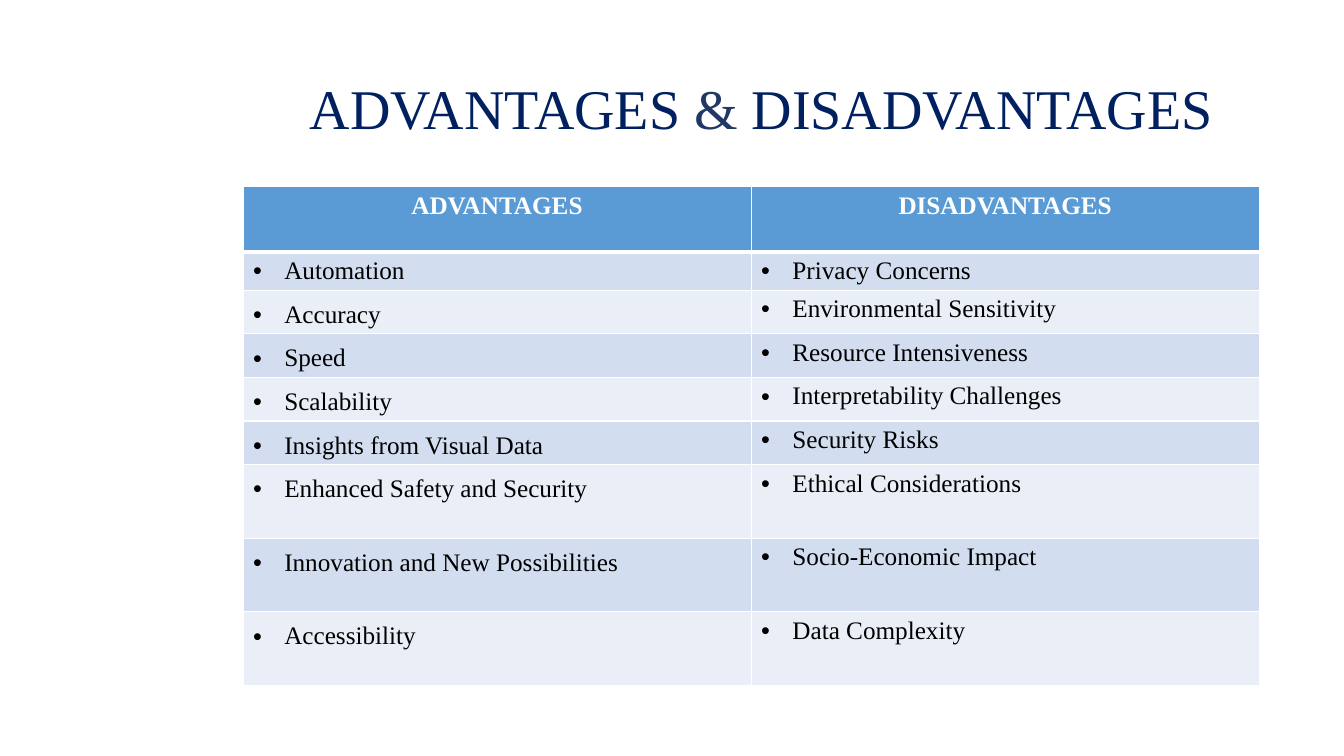
import pptx
import pptx.util
import pptx.dml.color
import pptx.enum.text
import pptx.oxml
import pptx.oxml.ns
import lxml.etree

Inches = pptx.util.Inches
Pt = pptx.util.Pt
A = pptx.oxml.ns.nsdecls("a")


def rgb(value):
    return pptx.dml.color.RGBColor.from_string(value)


def add_run(p, text, color, size, bold):
    r = p.add_run()
    r.text = text
    r.font.color.rgb = rgb(color)
    formats = {"name": "Times New Roman", "size": Pt(size), "bold": bold}
    for name, value in formats.items():
        setattr(r.font, name, value)


prs = pptx.Presentation()
prs.slide_width = Inches(13.33)
prs.slide_height = Inches(7.5)
s = prs.slides.add_slide(prs.slide_layouts[5])

title = s.shapes.title
box = {"left": 2.31, "top": 0.4, "width": 10.48, "height": 1.33}
for name, value in box.items():
    setattr(title, name, Inches(value))
tf = title.text_frame
tf.word_wrap = True
tf.vertical_anchor = pptx.enum.text.MSO_ANCHOR.MIDDLE
p = tf.paragraphs[0]
p.alignment = pptx.enum.text.PP_ALIGN.CENTER
for text, color in [("ADVANTAGES ", "002060"), ("& ", "203864"), ("DISADVANTAGES", "002060")]:
    add_run(p, text, color, 40, False)

rows = [
    ("ADVANTAGES", "DISADVANTAGES"),
    ("Automation", "Privacy Concerns"),
    ("Accuracy", "Environmental Sensitivity"),
    ("Speed", "Resource Intensiveness"),
    ("Scalability", "Interpretability Challenges"),
    ("Insights from Visual Data", "Security Risks"),
    ("Enhanced Safety and Security", "Ethical Considerations"),
    ("Innovation and New Possibilities", "Socio-Economic Impact"),
    ("Accessibility", "Data Complexity"),
]
heights = [0.65, 0.38] + [0.4] * 4 + [0.73] * 3

table = s.shapes.add_table(
    len(rows), 2, Inches(2.41), Inches(1.85), Inches(10.08), Inches(sum(heights))
).table
for column in table.columns:
    column.width = Inches(5.04)

for i, (texts, height) in enumerate(zip(rows, heights)):
    table.rows[i].height = Inches(height)
    for j, text in enumerate(texts):
        cell = table.cell(i, j)
        p = cell.text_frame.paragraphs[0]
        if i == 0:
            fill = "5B9BD5"
            p.alignment = pptx.enum.text.PP_ALIGN.CENTER
            add_run(p, text, "FFFFFF", 18, True)
        else:
            fill = "D2DEEF" if i % 2 else "EAEFF7"
            if j == 0 and i > 1:
                p.line_spacing = 1.2
            pPr = p._p.get_or_add_pPr()
            pPr.set("marL", str(Inches(0.31)))
            pPr.set("indent", str(-Inches(0.31)))
            pPr.append(pptx.oxml.parse_xml(f'<a:buFont {A} typeface="Arial"/>'))
            pPr.append(pptx.oxml.parse_xml(f'<a:buChar {A} char="•"/>'))
            add_run(p, text, "000000", 18, False)

        tcPr = cell._tc.get_or_add_tcPr()
        for side in ("lnL", "lnR", "lnT", "lnB"):
            under_header = (i, side) in [(0, "lnB"), (1, "lnT")]
            width = Pt(3 if under_header else 1)
            tcPr.append(pptx.oxml.parse_xml(
                f'<a:{side} {A} w="{width}"><a:solidFill>'
                f'<a:srgbClr val="FFFFFF"/></a:solidFill></a:{side}>'
            ))
        cell.fill.solid()
        cell.fill.fore_color.rgb = rgb(fill)

prs.save("out.pptx")
